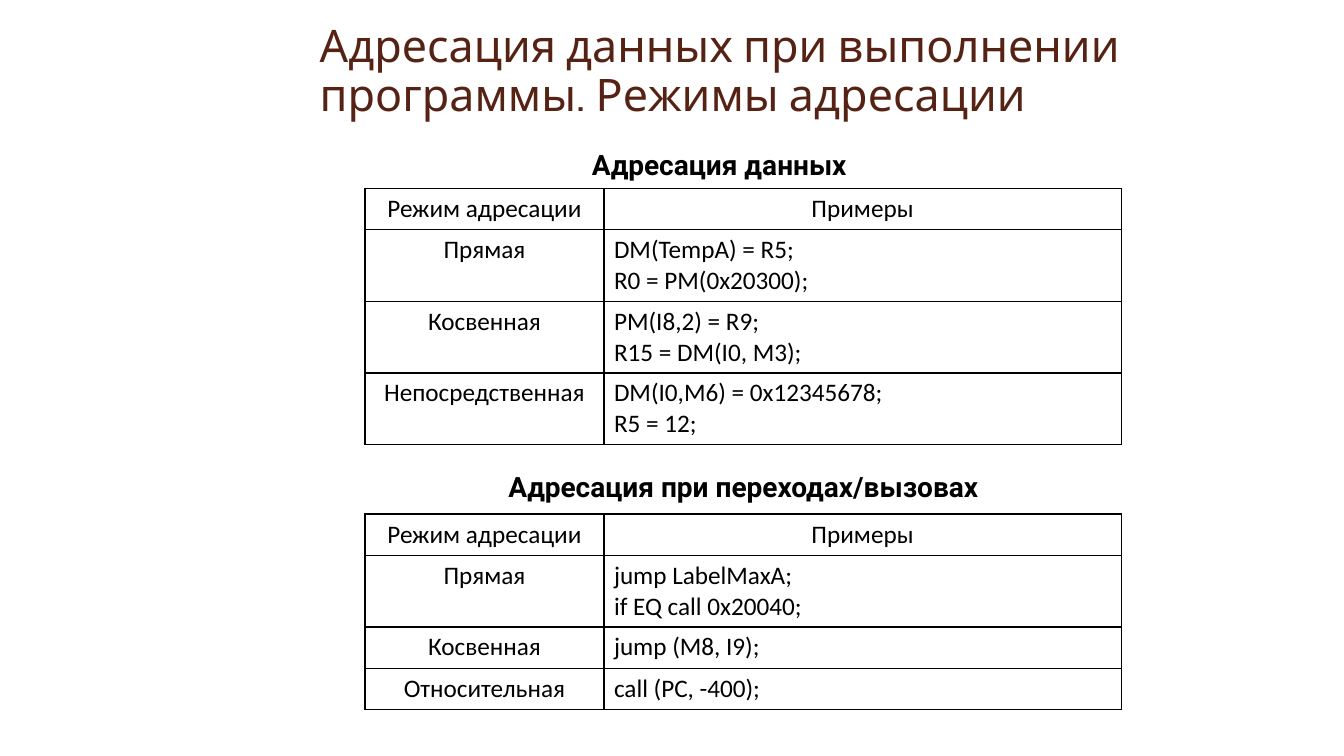
from lxml.etree import SubElement
from pptx import Presentation
from pptx.dml.color import RGBColor
from pptx.enum.text import MSO_ANCHOR, MSO_AUTO_SIZE, PP_ALIGN
from pptx.oxml.ns import qn
from pptx.util import Inches, Pt

BROWN = RGBColor(0x56, 0x22, 0x14)
BLACK = RGBColor(0, 0, 0)

TABLE_LEFT = 3.62
COLUMN_WIDTHS = (2.37, 5.13)
ROW_HEIGHT = 0.41
EXTRA_LINE = 0.3

HEADER = ("Режим адресации", "Примеры")
DATA_MODES = [
    ("Прямая", "DM(TempA) = R5;\nR0 = PM(0x20300);"),
    ("Косвенная", "PM(I8,2) = R9;\nR15 = DM(I0, M3);"),
    ("Непосредственная", "DM(I0,M6) = 0x12345678;\nR5 = 12;"),
]
JUMP_MODES = [
    ("Прямая", "jump LabelMaxA;\nif EQ call 0x20040;"),
    ("Косвенная", "jump (M8, I9);"),
    ("Относительная", "call (PC, -400);"),
]


def style(paragraph, font_name, size, color, align, bold=False):
    paragraph.alignment = align
    font = paragraph.font
    font.name, font.size, font.bold = font_name, Pt(size), bold
    font.color.rgb = color


def set_title(slide, text):
    title = slide.shapes.title
    title.left, title.top = Inches(3.07), Inches(0.16)
    title.width, title.height = Inches(8.18), Inches(1.09)
    frame = title.text_frame
    frame.text = text
    frame.word_wrap = True
    frame.auto_size = MSO_AUTO_SIZE.NONE
    frame.vertical_anchor = MSO_ANCHOR.BOTTOM
    paragraph = frame.paragraphs[0]
    paragraph.line_spacing = 0.9
    style(paragraph, "Cabin", 32, BROWN, PP_ALIGN.LEFT)


def add_caption(slide, text, left, top):
    caption = slide.shapes.add_textbox(
        Inches(left), Inches(top), Inches(7.97), Inches(0.44))
    frame = caption.text_frame
    frame.word_wrap = True
    frame.text = text
    paragraph = frame.paragraphs[0]
    paragraph.space_after = Pt(6)
    style(paragraph, "Roboto", 20, BLACK, PP_ALIGN.CENTER, bold=True)


def add_borders(cell):
    properties = cell._tc.get_or_add_tcPr()
    for side in ("a:lnL", "a:lnR", "a:lnT", "a:lnB"):
        line = SubElement(properties, qn(side), w=str(Pt(1)))
        fill = SubElement(line, qn("a:solidFill"))
        SubElement(fill, qn("a:srgbClr"), val=str(BLACK))


def fill_cell(cell, text, align):
    add_borders(cell)
    cell.fill.background()
    cell.text = text
    for paragraph in cell.text_frame.paragraphs:
        style(paragraph, "Calibri", 18, BLACK, align)


def add_modes_table(slide, modes, top):
    rows = [HEADER, *modes]
    heights = [ROW_HEIGHT + EXTRA_LINE * examples.count("\n") for _, examples in rows]
    table = slide.shapes.add_table(
        len(rows), len(HEADER), Inches(TABLE_LEFT), Inches(top),
        Inches(sum(COLUMN_WIDTHS)), Inches(sum(heights))).table
    table.first_row = table.horz_banding = False
    for column, width in zip(table.columns, COLUMN_WIDTHS):
        column.width = Inches(width)
    for r, (texts, height) in enumerate(zip(rows, heights)):
        table.rows[r].height = Inches(height)
        for c, text in enumerate(texts):
            is_example = r > 0 and c == 1
            align = PP_ALIGN.LEFT if is_example else PP_ALIGN.CENTER
            fill_cell(table.cell(r, c), text, align)


def main():
    deck = Presentation()
    deck.slide_width, deck.slide_height = Inches(13.33), Inches(7.5)
    slide = deck.slides.add_slide(deck.slide_layouts[5])
    set_title(slide, "Адресация данных при выполнении программы. Режимы адресации")
    add_caption(slide, "Адресация данных", 3.15, 1.41)
    add_caption(slide, "Адресация при переходах/вызовах", 3.39, 4.61)
    add_modes_table(slide, DATA_MODES, 1.87)
    add_modes_table(slide, JUMP_MODES, 5.1)
    deck.save("out.pptx")


main()
